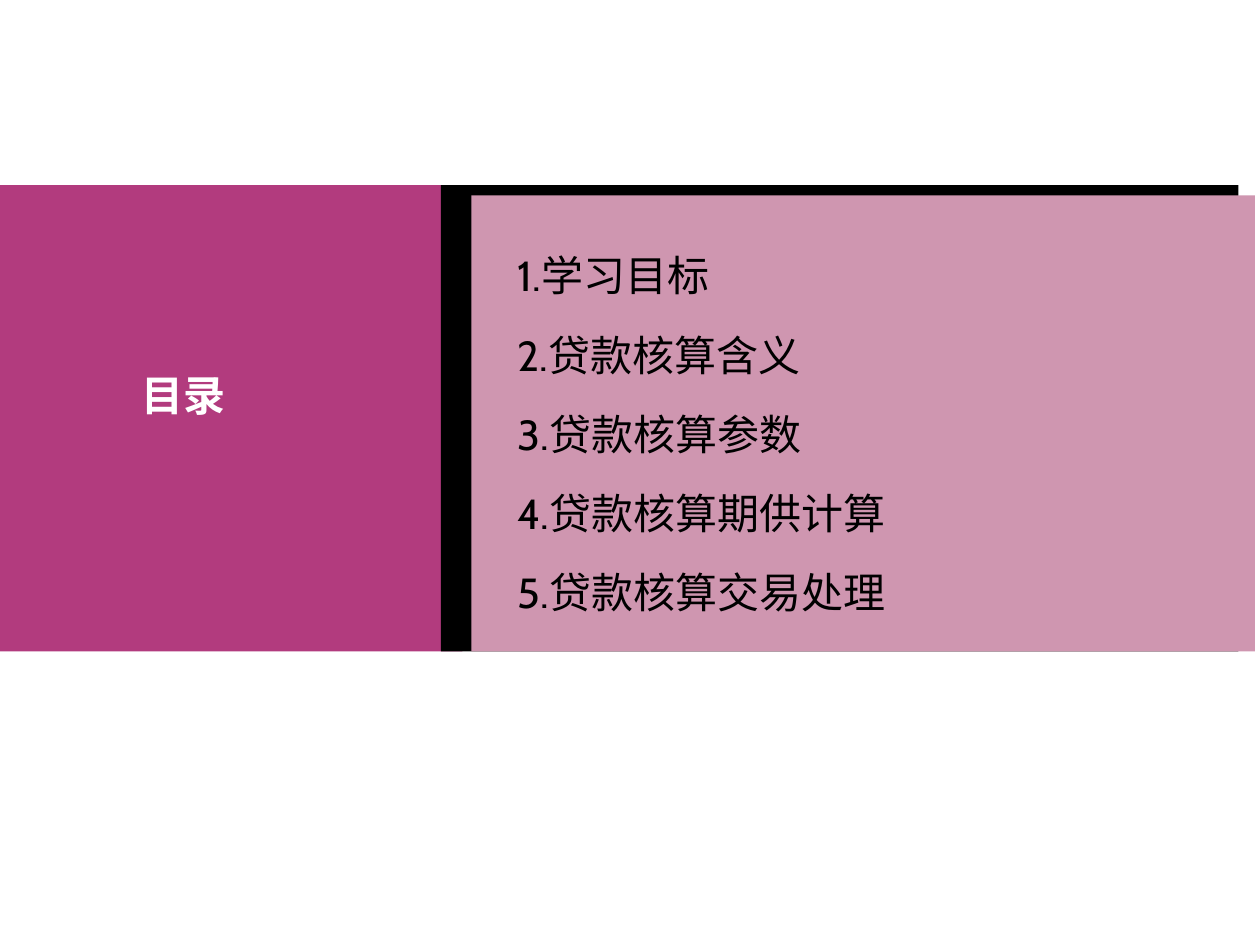
"""Builds the contents slide: a title block beside a framed agenda panel."""
from dataclasses import dataclass

from lxml import etree
from pptx import Presentation
from pptx import util as u
from pptx.dml import color
from pptx.enum import lang, shapes, text
from pptx.oxml import ns


@dataclass(frozen=True)
class Theme:
    magenta: str = "B23B7E"
    pink: str = "CF96B0"
    black: str = "000000"
    white: str = "FFFFFF"
    body_font: str = "Cabin"
    title_font: str = "Noto Sans CJK SC"
    size: int = 24


@dataclass(frozen=True)
class Area:
    """A place on a grid of 100 columns by 75 rows."""
    column: float
    row: float
    columns: float
    rows: float


@dataclass(frozen=True)
class TextStyle:
    font: str
    ink: str
    paragraph: dict
    bold: bool = False


THEME = Theme()
COLUMNS, ROWS = 100, 75
WIDTH, HEIGHT = u.Inches(10), u.Inches(7.5)
BAND_TOP, BAND_ROWS = 14.7, 37

TITLE_AREA = Area(7.5, 27.3, 14.2, 6.3)
PANEL_AREA = Area(37.4, 15.5, 62.2, 36.2)
BLOCKS = [
    (Area(0, BAND_TOP, 36.7, BAND_ROWS), THEME.magenta),
    (Area(35, BAND_TOP, 63.3, BAND_ROWS), THEME.black),
]
TOPICS = ["学习目标", "贷款核算含义", "贷款核算参数", "贷款核算期供计算", "贷款核算交易处理"]

TITLE_STYLE = TextStyle(
    THEME.title_font, THEME.white,
    {"alignment": text.PP_ALIGN.CENTER, "line_spacing": 1.5}, bold=True)
TOPIC_STYLE = TextStyle(
    THEME.body_font, THEME.black,
    {"alignment": text.PP_ALIGN.LEFT, "line_spacing": 1.4, "space_before": u.Pt(5)})
TITLE_FRAME = dict.fromkeys(
    ("margin_left", "margin_top", "margin_right", "margin_bottom"), 0) | {"word_wrap": True}
PANEL_FRAME = {"word_wrap": True, "margin_left": u.Inches(0.37),
               "vertical_anchor": text.MSO_ANCHOR.MIDDLE}


def apply(target, values: dict) -> None:
    for name, value in values.items():
        setattr(target, name, value)


def place(area: Area) -> tuple[int, int, int, int]:
    return (int(WIDTH * area.column / COLUMNS), int(HEIGHT * area.row / ROWS),
            int(WIDTH * area.columns / COLUMNS), int(HEIGHT * area.rows / ROWS))


def add_block(page, area: Area, fill: str):
    block = page.shapes.add_shape(shapes.MSO_SHAPE.RECTANGLE, *place(area))
    block.shadow.inherit = False
    block.fill.solid()
    block.fill.fore_color.rgb = color.RGBColor.from_string(fill)
    block.line.fill.background()
    return block


def write(box, lines: list[str], style: TextStyle, frame: dict) -> None:
    apply(box.text_frame, frame)
    for index, line in enumerate(lines):
        para = box.text_frame.add_paragraph() if index else box.text_frame.paragraphs[0]
        apply(para, style.paragraph)
        span = para.add_run()
        span.text = line
        apply(span.font, {"name": style.font, "size": u.Pt(THEME.size), "bold": style.bold,
                          "language_id": lang.MSO_LANGUAGE_ID.SIMPLIFIED_CHINESE})
        span.font.color.rgb = color.RGBColor.from_string(style.ink)
        properties = span.font._element
        etree.SubElement(properties, ns.qn("a:ea"), typeface=style.font)


def main() -> None:
    deck = Presentation()
    apply(deck, {"slide_width": WIDTH, "slide_height": HEIGHT})
    page = deck.slides.add_slide(deck.slide_layouts[6])
    for area, fill in BLOCKS:
        add_block(page, area, fill)
    panel = add_block(page, PANEL_AREA, THEME.pink)
    topics = [f"{number}.{topic}" for number, topic in enumerate(TOPICS, 1)]
    write(panel, topics, TOPIC_STYLE, PANEL_FRAME)
    title = page.shapes.add_textbox(*place(TITLE_AREA))
    write(title, ["目录"], TITLE_STYLE, TITLE_FRAME)
    deck.save("out.pptx")


if __name__ == "__main__":
    main()
